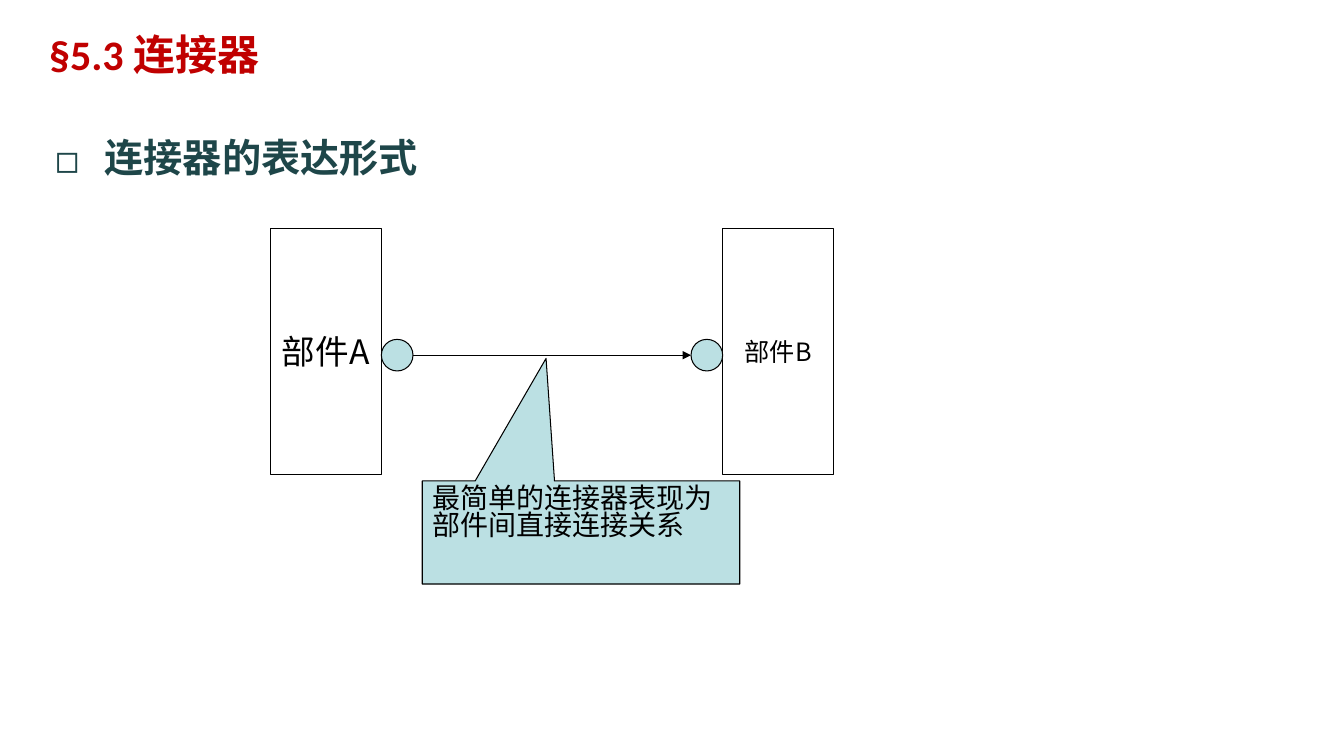
import pptx
import pptx.dml.color
import pptx.enum.shapes
import pptx.enum.text
import pptx.oxml
import pptx.oxml.ns
import pptx.util

Pt = pptx.util.Pt
SHAPE = pptx.enum.shapes.MSO_SHAPE
ALIGN = pptx.enum.text.PP_ALIGN
ANCHOR = pptx.enum.text.MSO_ANCHOR
COLORS = {"heading": "C00000", "topic": "1E4649", "ink": "000000", "accent": "BBE0E3"}
LATIN, CJK = "Calibri", "Noto Sans CJK SC"


def element(tag, **attributes):
    """Make an empty DrawingML element."""
    node = pptx.oxml.parse_xml(f"<a:{tag} {pptx.oxml.ns.nsdecls('a')}/>")
    for key, value in attributes.items():
        node.set(key, value)
    return node


class Diagram:
    def __init__(self, slide, line_width=0.75):
        self.slide = slide
        self.line_width = line_width

    def color(self, name):
        return pptx.dml.color.RGBColor.from_string(COLORS[name])

    def outline(self, line):
        line.color.rgb = self.color("ink")
        line.width = Pt(self.line_width)

    def run(self, paragraph, words, size, color="ink", font=CJK, bold=False):
        run = paragraph.add_run()
        run.text = words
        run.font.size = Pt(size)
        run.font.bold = bold
        run.font.color.rgb = self.color(color)
        run.font.name = font
        run.font._element.find(pptx.oxml.ns.qn("a:latin")).addnext(
            element("ea", typeface=CJK))

    def text(self, left, top, width, height, indent, margin=0, spacing=1.0):
        """Add a wrapping text box and return its paragraph."""
        frame = self.slide.shapes.add_textbox(
            Pt(left), Pt(top), Pt(width), Pt(height)).text_frame
        frame.word_wrap = True
        paragraph = frame.paragraphs[0]
        paragraph.line_spacing = spacing
        properties = paragraph._p.get_or_add_pPr()
        properties.set("marL", str(Pt(margin)))
        properties.set("indent", str(Pt(indent)))
        return paragraph

    def bullet(self, paragraph, mark):
        properties = paragraph._p.get_or_add_pPr()
        properties.append(element("buFont", typeface=CJK))
        properties.append(element("buChar", char=mark))

    def shape(self, kind, left, top, width, height, fill=None):
        shape = self.slide.shapes.add_shape(
            kind, Pt(left), Pt(top), Pt(width), Pt(height))
        shape.shadow.inherit = False
        if fill:
            shape.fill.solid()
            shape.fill.fore_color.rgb = self.color(fill)
        else:
            shape.fill.background()
        self.outline(shape.line)
        return shape

    def label(self, shape, words, size, align=ALIGN.CENTER,
              anchor=ANCHOR.MIDDLE, wrap=False, spacing=1.0):
        frame = shape.text_frame
        frame.word_wrap = wrap
        frame.vertical_anchor = anchor
        paragraph = frame.paragraphs[0]
        paragraph.alignment = align
        paragraph.line_spacing = spacing
        self.run(paragraph, words, size)

    def arrow(self, start, end, y):
        arrow = self.slide.shapes.add_connector(
            pptx.enum.shapes.MSO_CONNECTOR.STRAIGHT, Pt(start), Pt(y), Pt(end), Pt(y))
        self.outline(arrow.line)
        arrow.line._get_or_add_ln().append(element("tailEnd", type="triangle"))
        arrow._element.spPr.append(element("effectLst"))


def main():
    deck = pptx.Presentation()
    deck.slide_width, deck.slide_height = Pt(960), Pt(540)
    diagram = Diagram(deck.slides.add_slide(deck.slide_layouts[6]))

    # Heading and topic
    heading = diagram.text(0, 21, 960, 54, indent=28, spacing=0.9)
    diagram.run(heading, "§5.3 ", 30, "heading", LATIN, bold=True)
    diagram.run(heading, "连接器", 30, "heading", bold=True)
    topic = diagram.text(32.4, 88.5, 850, 389, indent=-35.3, margin=35.3, spacing=1.1)
    topic.alignment = ALIGN.JUSTIFY
    diagram.bullet(topic, "◻")
    diagram.run(topic, "连接器的表达形式", 28, "topic", bold=True)

    # Two parts, each with a port on its inner side
    part_width, port_size, axis = 79.4, 22.6, 253.7
    part_a, part_b = 193, 516.2
    port_a, port_b = part_a + part_width, part_b - port_size
    for left, words, size in ((part_a, "部件A", 24), (part_b, "部件B", 18)):
        part = diagram.shape(SHAPE.RECTANGLE, left, 163.2, part_width, 175.7)
        diagram.label(part, words, size)
    for left in (port_a, port_b):
        diagram.shape(SHAPE.OVAL, left, axis - port_size / 2,
                      port_size, port_size, "accent")

    # Connector and its explanation
    diagram.arrow(port_a + port_size, port_b, axis)
    callout = diagram.shape(SHAPE.RECTANGULAR_CALLOUT, 301.6, 343.6, 226.8, 73.6, "accent")
    callout.adjustments[0], callout.adjustments[1] = -0.11, -1.69
    diagram.label(callout, "最简单的连接器表现为部件间直接连接关系", 20,
                  ALIGN.LEFT, ANCHOR.TOP, wrap=True, spacing=0.82)

    deck.save("out.pptx")


if __name__ == "__main__":
    main()
